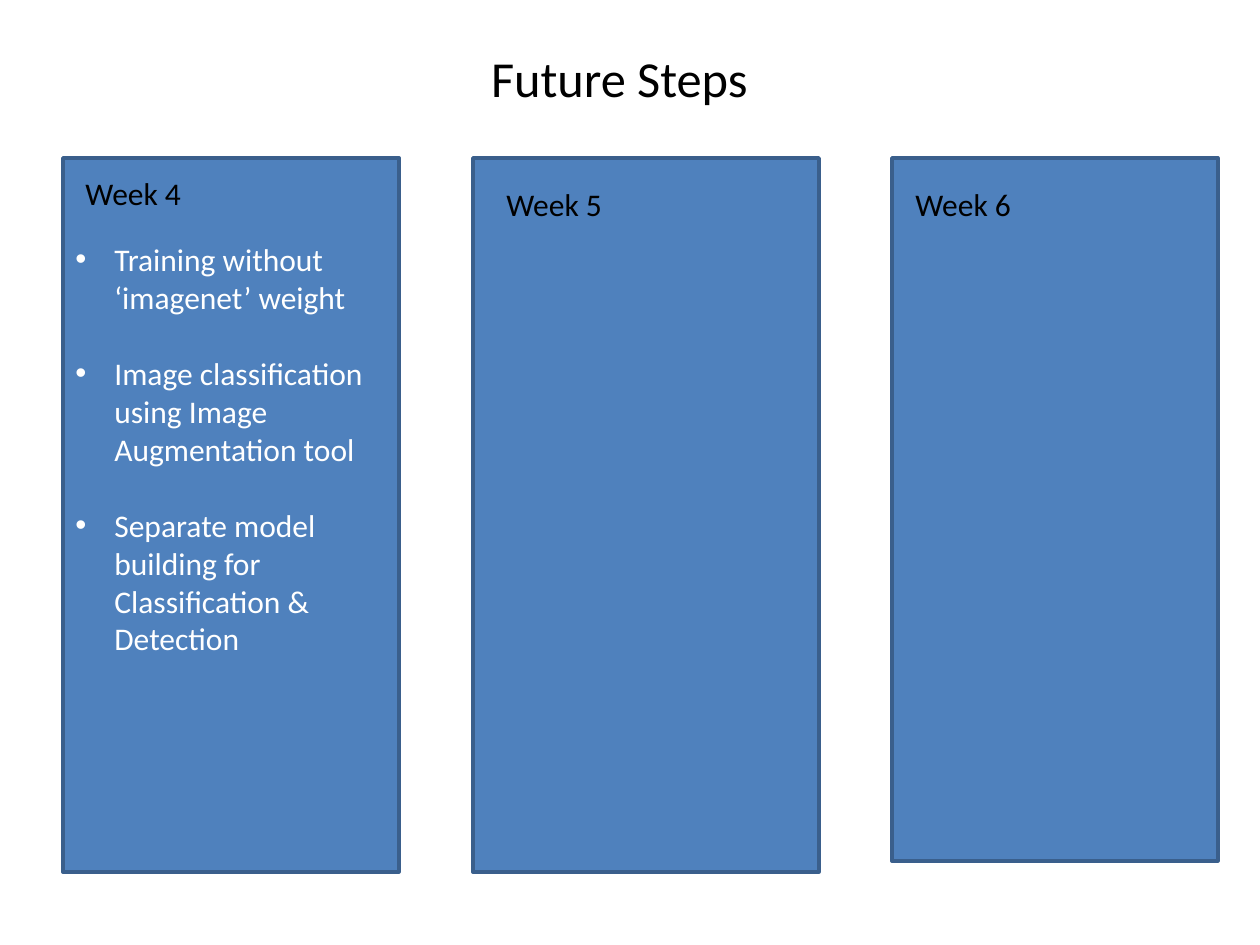
from dataclasses import dataclass

from lxml.etree import SubElement
from pptx import Presentation
from pptx.dml.color import RGBColor
from pptx.enum.shapes import MSO_SHAPE
from pptx.enum.text import MSO_ANCHOR, MSO_AUTO_SIZE, PP_ALIGN
from pptx.oxml.ns import qn
from pptx.util import Emu, Pt

SCALE = 914400 // 126


@dataclass(frozen=True)
class Theme:
    """Colours, font and type sizes of the slide."""
    font: str = "Calibri"
    ink: RGBColor = RGBColor(0, 0, 0)
    paper: RGBColor = RGBColor(255, 255, 255)
    panel: RGBColor = RGBColor(0x4F, 0x81, 0xBD)
    edge: RGBColor = RGBColor(0x3A, 0x5F, 0x8C)
    title_size: float = 28.8
    body_size: float = 18


THEME = Theme()
WEEKS = [
    ("Week 4", (63, 158, 336, 714), (73, 168), [
        "Training without ‘imagenet’ weight",
        "Image classification using Image Augmentation tool",
        "Separate model building for Classification & Detection",
    ]),
    ("Week 5", (473, 158, 346, 714), (494, 179), []),
    ("Week 6", (892, 158, 326, 703), (903, 179), []),
]


def px(*lengths):
    """Turn picture pixels into EMU lengths."""
    return [Emu(length * SCALE) for length in lengths]


def add_span(para, text, size, color):
    """Add one formatted run to a paragraph."""
    span = para.add_run()
    span.text = text
    span.font.name = THEME.font
    span.font.size = Pt(size)
    span.font.color.rgb = color


def set_title(page, text):
    """Place and fill the title placeholder."""
    title = page.shapes.title
    title.left, title.top, title.width, title.height = px(63, 38, 1113, 78)
    frame = title.text_frame
    frame.vertical_anchor = MSO_ANCHOR.MIDDLE
    para = frame.paragraphs[0]
    para.alignment = PP_ALIGN.CENTER
    add_span(para, text, THEME.title_size, THEME.ink)


def set_bullet(para):
    """Give a paragraph a round bullet with a hanging indent."""
    indent = px(39)[0]
    properties = para._p.get_or_add_pPr()
    properties.set("marL", str(indent))
    properties.set("indent", str(-indent))
    SubElement(properties, qn("a:buFont"), typeface="Arial")
    SubElement(properties, qn("a:buChar"), char="•")


def add_panel(page, bounds, items):
    """Add a week's rectangle with its bulleted steps."""
    box = page.shapes.add_shape(MSO_SHAPE.RECTANGLE, *px(*bounds))
    box.shadow.inherit = False
    box.fill.solid()
    box.fill.fore_color.rgb = THEME.panel
    box.line.color.rgb = THEME.edge
    box.line.width = Pt(2)
    frame = box.text_frame
    frame.word_wrap = True
    frame.vertical_anchor = MSO_ANCHOR.TOP
    frame.margin_top = px(82)[0]
    for index, item in enumerate(items):
        para = frame.add_paragraph() if index else frame.paragraphs[0]
        para.alignment = PP_ALIGN.LEFT
        para.space_after = Pt(22)
        set_bullet(para)
        add_span(para, item, THEME.body_size, THEME.paper)


def add_label(page, text, corner):
    """Add a week's heading."""
    box = page.shapes.add_textbox(*px(*corner, 294, 51))
    frame = box.text_frame
    frame.word_wrap = True
    frame.auto_size = MSO_AUTO_SIZE.SHAPE_TO_FIT_TEXT
    add_span(frame.paragraphs[0], text, THEME.body_size, THEME.ink)


def main():
    """Build and save the slide."""
    deck = Presentation()
    deck.slide_width, deck.slide_height = px(1260, 945)
    page = deck.slides.add_slide(deck.slide_layouts[5])
    set_title(page, "Future Steps")
    for _, bounds, _, items in WEEKS:
        add_panel(page, bounds, items)
    for name, _, corner, _ in WEEKS:
        add_label(page, name, corner)
    deck.save("out.pptx")


main()
